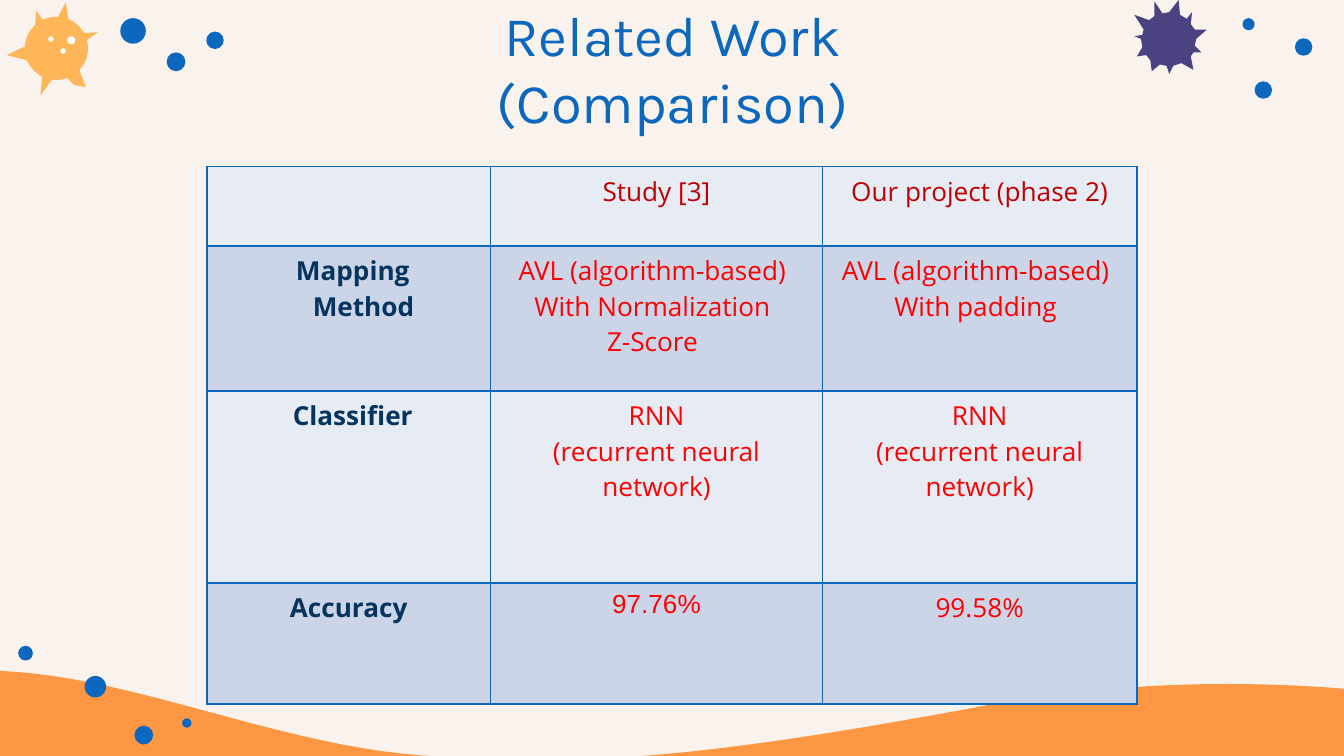
from lxml import etree
from pptx import Presentation
from pptx.dml.color import RGBColor
from pptx.enum.shapes import MSO_SHAPE
from pptx.enum.text import MSO_ANCHOR, MSO_AUTO_SIZE, PP_ALIGN
from pptx.oxml.ns import qn
from pptx.util import Inches, Pt

OVAL = MSO_SHAPE.OVAL
CENTER = PP_ALIGN.CENTER
MIDDLE = MSO_ANCHOR.MIDDLE
NO_AUTOFIT = MSO_AUTO_SIZE.NONE

BLUE, NAVY, RED, DARK_RED = "0B68BE", "05345F", "FF0000", "C00000"
ORANGE, YELLOW, PURPLE, WHITE = "FE9744", "FFB659", "4B4381", "FFFFFF"
CREAM, BANDS = "FAF2EC", ("E7EBF4", "CCD4E8")

COL_WIDTHS = (2.11, 2.47, 2.34)
ROW_HEIGHTS = (0.59, 1.08, 1.43, 0.9)
ROWS = (
    ("", "Study [3]", "Our project (phase 2)"),
    ("Mapping\nMethod", "AVL (algorithm-based)\nWith Normalization\nZ-Score",
     "AVL (algorithm-based)\nWith padding"),
    ("Classifier", "RNN\n(recurrent neural network)", "RNN\n(recurrent neural network)"),
    ("Accuracy", "97.76%", "99.58%"),
)
# Paragraph text: margin attribute and its width
MARGINS = {
    "Mapping": ("marL", 0.06),
    "Method": ("marL", 0.22),
    "Classifier": ("marL", 0.06),
    "AVL (algorithm-based)": ("marR", 0.06),
}

# Circles are centre x, centre y, diameter
DOTS = (
    (0.19, 4.86, 0.11), (1.07, 5.47, 0.14), (0.71, 5.11, 0.16), (1.39, 5.38, 0.07),
    (9.29, 0.18, 0.09), (9.4, 0.67, 0.13), (9.7, 0.35, 0.13),
    (1.6, 0.3, 0.13), (0.99, 0.23, 0.19), (1.31, 0.46, 0.14),
)
GERM_BODY = (0.42, 0.36, 0.47)
GERM_SPOTS = ((0.53, 0.3, 0.06), (0.38, 0.29, 0.04), (0.47, 0.38, 0.04))
GERM_SPIKES = (
    ((0.49, 0.02), (0.52, 0.21), (0.39, 0.2)),
    ((0.32, 0.51), (0.42, 0.55), (0.3, 0.71)),
    ((0.56, 0.25), (0.73, 0.24), (0.6, 0.33)),
    ((0.57, 0.47), (0.64, 0.65), (0.55, 0.63), (0.47, 0.55)),
    ((0.27, 0.08), (0.34, 0.18), (0.26, 0.21)),
    ((0.24, 0.32), (0.24, 0.46), (0.05, 0.41)),
)
SPIKY_GERM = (
    (8.77, 0), (8.7, 0.09), (8.65, 0.1), (8.59, 0.01), (8.59, 0.12), (8.55, 0.15),
    (8.44, 0.11), (8.51, 0.22), (8.5, 0.26), (8.44, 0.27), (8.49, 0.29), (8.5, 0.35),
    (8.46, 0.42), (8.53, 0.41), (8.56, 0.45), (8.57, 0.53), (8.63, 0.48), (8.68, 0.49),
    (8.7, 0.55), (8.73, 0.49), (8.79, 0.47), (8.88, 0.52), (8.86, 0.42), (8.88, 0.39),
    (8.94, 0.39), (8.89, 0.34), (8.9, 0.29), (8.98, 0.22), (8.89, 0.22), (8.86, 0.18),
    (8.87, 0.09), (8.83, 0.14), (8.78, 0.11),
)
WAVE_START = (-0.12, 4.99)
WAVE_CURVES = (
    ((0.9, 4.99), (1.99, 5.53), (3.12, 5.62)),
    ((3.39, 5.64), (3.66, 5.66), (3.94, 5.66)),
    ((4.89, 5.66), (5.88, 5.52), (7.28, 5.26)),
    ((7.96, 5.13), (8.6, 5.09), (9.13, 5.09)),
    ((9.74, 5.09), (10.2, 5.14), (10.41, 5.17)),
)
WAVE_BASE = ((10.41, 5.72), (-0.17, 5.72), (-0.17, 4.99))


def rgb(color):
    return RGBColor.from_string(color)


def paint(sp, color):
    sp.fill.solid()
    sp.fill.fore_color.rgb = rgb(color)
    sp.line.fill.background()
    sp.shadow.inherit = False


def add_circle(s, cx, cy, size, color):
    box = (cx - size / 2, cy - size / 2, size, size)
    paint(s.shapes.add_shape(OVAL, *map(Inches, box)), color)


def add_polygon(s, points, color):
    points = [(Inches(x), Inches(y)) for x, y in points]
    builder = s.shapes.build_freeform(*points[0])
    builder.add_line_segments(points[1:], close=True)
    paint(builder.convert_to_shape(), color)


def trace_curves(start, curves, steps=24):
    """Return points along a chain of cubic Bezier curves."""
    points = [start]
    for c1, c2, end in curves:
        first = points[-1]
        for i in range(1, steps + 1):
            t = i / steps
            u = 1 - t
            points.append(tuple(
                u**3 * a + 3 * u * u * t * b + 3 * u * t * t * c + t**3 * d
                for a, b, c, d in zip(first, c1, c2, end)))
    return points


def style_text(p, size, font, color, bold=False):
    p.alignment = CENTER
    p.font.size = Pt(size)
    p.font.name = font
    p.font.bold = bold
    p.font.color.rgb = rgb(color)


def set_borders(cell, color, width):
    tcPr = cell._tc.get_or_add_tcPr()
    for i, side in enumerate(("lnL", "lnR", "lnT", "lnB")):
        ln = etree.Element(qn(f"a:{side}"), w=str(Pt(width)))
        fill = etree.SubElement(ln, qn("a:solidFill"))
        etree.SubElement(fill, qn("a:srgbClr"), val=color)
        tcPr.insert(i, ln)


def add_title(s, text):
    title = s.shapes.title
    title.left, title.top, title.width, title.height = map(Inches, (0.79, 0.23, 8.43, 0.55))
    tf = title.text_frame
    tf.auto_size = NO_AUTOFIT
    tf.vertical_anchor = MIDDLE
    tf.text = text
    style_text(tf.paragraphs[0], 30, "Karla", BLUE)


def add_comparison(s):
    box = (1.54, 1.24, sum(COL_WIDTHS), sum(ROW_HEIGHTS))
    table = s.shapes.add_table(len(ROWS), len(COL_WIDTHS), *map(Inches, box)).table
    table.first_row = table.horz_banding = False
    for column, width in zip(table.columns, COL_WIDTHS):
        column.width = Inches(width)
    for i, (row, height) in enumerate(zip(ROWS, ROW_HEIGHTS)):
        table.rows[i].height = Inches(height)
        for j, text in enumerate(row):
            cell = table.cell(i, j)
            cell.fill.solid()
            cell.fill.fore_color.rgb = rgb(BANDS[i % 2])
            set_borders(cell, BLUE, 1)
            cell.text = text
            color = NAVY if j == 0 else DARK_RED if i == 0 else RED
            font = "Arial" if text == "97.76%" else "Open Sans"
            for p in cell.text_frame.paragraphs:
                style_text(p, 14, font, color, bold=j == 0)
                if p.text in MARGINS:
                    side, width = MARGINS[p.text]
                    p._p.get_or_add_pPr().set(side, str(Inches(width)))


def main():
    prs = Presentation()
    prs.slide_width = Inches(10)
    prs.slide_height = prs.slide_width * 9 // 16
    s = prs.slides.add_slide(prs.slide_layouts[5])
    s.background.fill.solid()
    s.background.fill.fore_color.rgb = rgb(CREAM)

    add_polygon(s, trace_curves(WAVE_START, WAVE_CURVES) + list(WAVE_BASE), ORANGE)
    for dot in DOTS:
        add_circle(s, *dot, BLUE)
    add_polygon(s, SPIKY_GERM, PURPLE)
    add_circle(s, *GERM_BODY, YELLOW)
    for spike in GERM_SPIKES:
        add_polygon(s, spike, YELLOW)
    for spot in GERM_SPOTS:
        add_circle(s, *spot, WHITE)

    add_title(s, "Related Work\v(Comparison)")
    add_comparison(s)
    prs.save("out.pptx")


if __name__ == "__main__":
    main()
